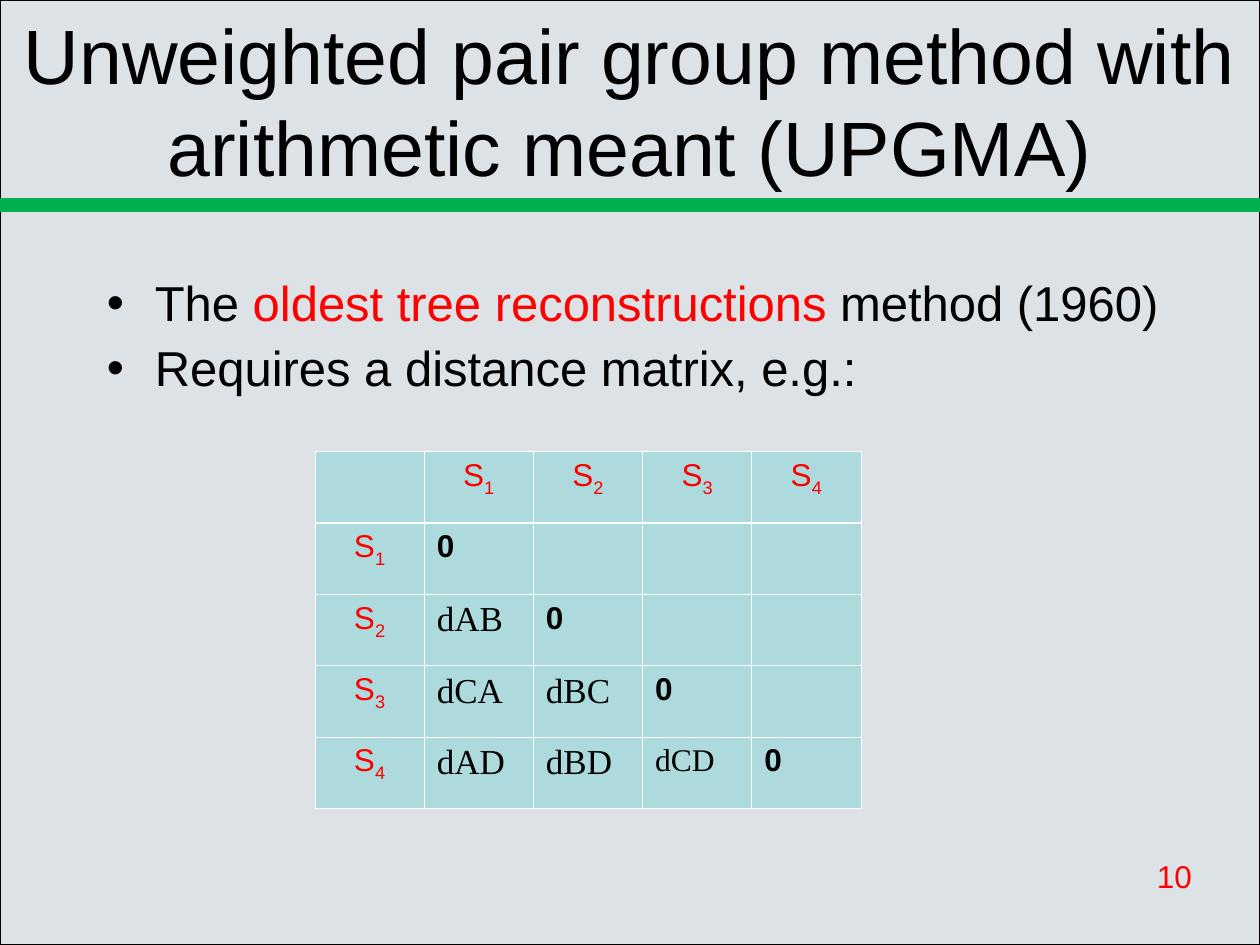
from lxml import etree
from pptx import Presentation
from pptx.dml.color import RGBColor
from pptx.enum.shapes import MSO_SHAPE
from pptx.enum.text import MSO_ANCHOR, PP_ALIGN
from pptx.oxml.ns import qn
from pptx.util import Inches, Pt

RECT = MSO_SHAPE.RECTANGLE
LEFT, CENTER = PP_ALIGN.LEFT, PP_ALIGN.CENTER
TOP, MIDDLE = MSO_ANCHOR.TOP, MSO_ANCHOR.MIDDLE

COLORS = {"panel": "DDE2E7", "black": "000000", "green": "00B050",
          "red": "FF0000", "cell": "ADDADD", "white": "FFFFFF"}

# Text formats
TITLE = {"size": Pt(44), "name": "Arial", "color": "black"}
BODY = {**TITLE, "size": Pt(28)}
BODY_RED = {**BODY, "color": "red"}
LABEL = {"size": Pt(18), "name": "Arial", "color": "red"}
ZERO = {**LABEL, "color": "black", "bold": True}
DISTANCE = {"size": Pt(20), "name": "Times New Roman", "color": "black"}
DISTANCE_SMALL = {**DISTANCE, "size": Pt(18)}


class Deck:
    """Holds the style and the current slide; lengths are in grid units."""

    COLS, ROWS = 120, 90

    def __init__(self, width, height):
        self.prs = Presentation()
        self.prs.slide_width, self.prs.slide_height = width, height
        self.s = self.prs.slides.add_slide(self.prs.slide_layouts[6])

    def box(self, x, y, w, h):
        dx = self.prs.slide_width / self.COLS
        dy = self.prs.slide_height / self.ROWS
        return int(x * dx), int(y * dy), int(w * dx), int(h * dy)

    def rgb(self, name):
        return RGBColor.from_string(COLORS[name])

    def rect(self, area, fill, line, width):
        sp = self.s.shapes.add_shape(RECT, *self.box(*area))
        sp.shadow.inherit = False
        sp.fill.solid()
        sp.fill.fore_color.rgb = self.rgb(fill)
        sp.line.color.rgb = self.rgb(line)
        sp.line.width = Pt(width)

    def run(self, p, text, fmt, subscript=False):
        r = p.add_run()
        r.text = text
        for key, value in fmt.items():
            if key == "color":
                r.font.color.rgb = self.rgb(value)
            else:
                setattr(r.font, key, value)
        if subscript:
            r._r.get_or_add_rPr().set("baseline", "-25000")

    def bullet(self, p):
        pPr = p._p.get_or_add_pPr()
        indent = Inches(0.38)
        pPr.set("marL", str(indent))
        pPr.set("indent", str(-indent))
        etree.SubElement(pPr, qn("a:buFont"), typeface="Arial")
        etree.SubElement(pPr, qn("a:buChar"), char="•")

    def text(self, area, paragraphs, align=LEFT, anchor=TOP, bullets=False):
        tf = self.s.shapes.add_textbox(*self.box(*area)).text_frame
        tf.word_wrap = True
        tf.vertical_anchor = anchor
        for i, runs in enumerate(paragraphs):
            p = tf.add_paragraph() if i else tf.paragraphs[0]
            p.alignment = align
            if bullets:
                self.bullet(p)
                p.line_spacing = 0.9
            if i:
                p.space_before = Pt(7)
            for text, fmt in runs:
                self.run(p, text, fmt)

    def borders(self, cell, widths):
        tcPr = cell._tc.get_or_add_tcPr()
        for side, width in widths.items():
            ln = etree.SubElement(tcPr, qn(f"a:ln{side}"), w=str(Pt(width)))
            fill = etree.SubElement(ln, qn("a:solidFill"))
            etree.SubElement(fill, qn("a:srgbClr"), val=COLORS["white"])

    def matrix(self, area, labels, distances, formats):
        n = len(labels) + 1
        x, y, w, h = self.box(*area)
        table = self.s.shapes.add_table(n, n, x, y, w, h).table
        table.first_row = table.horz_banding = False
        thin, thick = 0.45, 1.47
        for i in range(n):
            table.columns[i].width = w // n
            table.rows[i].height = h // n
            for j in range(n):
                cell = table.cell(i, j)
                self.borders(cell, {"L": thin, "R": thin,
                                    "T": thick if i == 1 else thin,
                                    "B": thick if i == 0 else thin})
                cell.fill.solid()
                cell.fill.fore_color.rgb = self.rgb("cell")
                p = cell.text_frame.paragraphs[0]
                if i * j == 0 and i + j:
                    p.alignment = CENTER
                    letter, index = labels[i + j - 1]
                    self.run(p, letter, LABEL)
                    self.run(p, index, LABEL, subscript=True)
                elif i == j and i:
                    self.run(p, "0", ZERO)
                elif i > j:
                    name = distances[i - 2][j - 1]
                    self.run(p, name, formats.get(name, DISTANCE))


def main():
    deck = Deck(Inches(10), Inches(7.5))

    # Background panel, page number and title rule
    deck.rect((0, 0, 120, 90), "panel", "black", 0.75)
    deck.text((109, 81, 7, 4.8), [[("10", LABEL)]])
    deck.rect((0, 19, 120, 1), "green", "green", 2)

    # Title
    title = "Unweighted pair group method with arithmetic meant (UPGMA)"
    deck.text((0, 0, 120, 19), [[(title, TITLE)]], CENTER, MIDDLE)

    # Bullets
    deck.text((9, 26, 105, 14.3), [
        [("The ", BODY), ("oldest tree reconstructions ", BODY_RED),
         ("method (1960)", BODY)],
        [("Requires a distance matrix, e.g.:", BODY)],
    ], bullets=True)

    # Lower triangle of the distance matrix
    deck.matrix((30, 43, 52, 34), ["S1", "S2", "S3", "S4"],
                [["dAB"], ["dCA", "dBC"], ["dAD", "dBD", "dCD"]],
                {"dCD": DISTANCE_SMALL})

    deck.prs.save("out.pptx")


if __name__ == "__main__":
    main()
